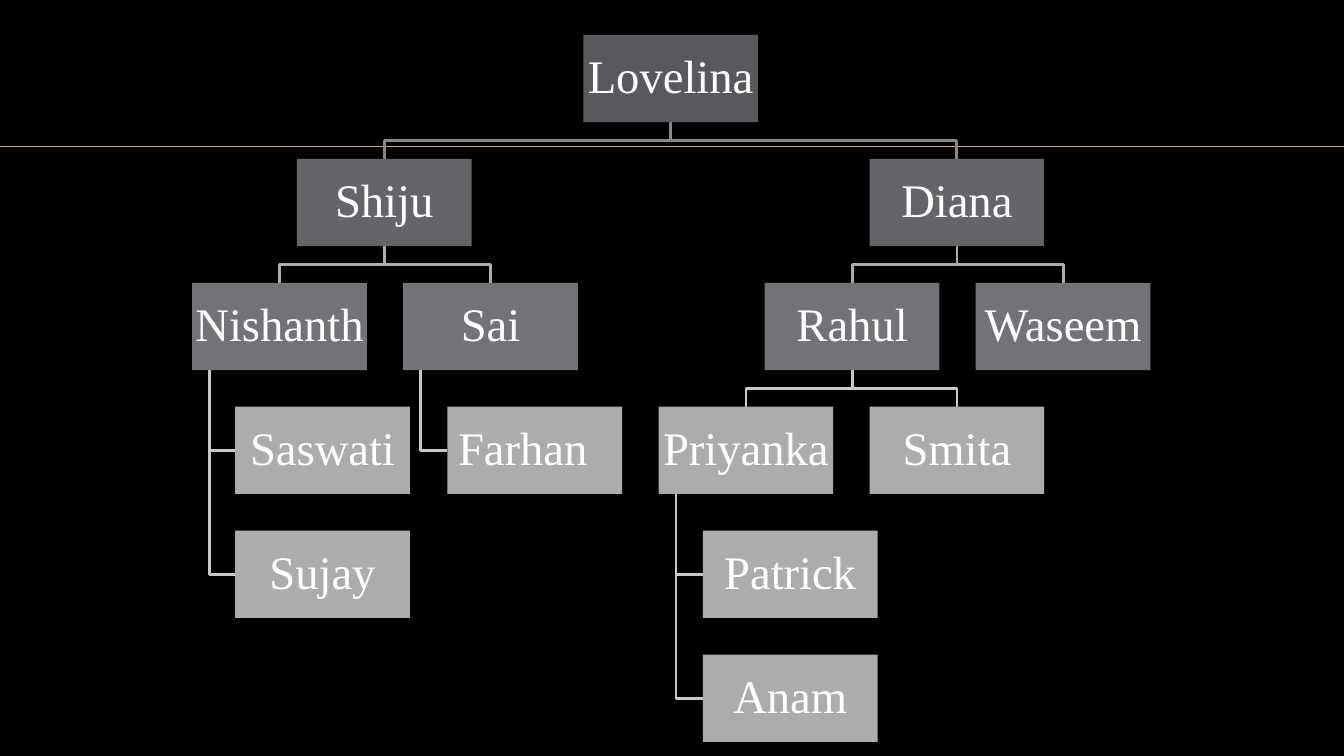
import pptx
import pptx.util
import pptx.dml.color
import pptx.enum.shapes
import pptx.enum.text
import pptx.oxml
from pptx.util import Inches


def paint(fmt, code):
    fmt.solid()
    fmt.fore_color.rgb = pptx.dml.color.RGBColor.from_string(code)


def plain(shape):
    """Drop the theme shadow."""
    shape._element.spPr.append(pptx.oxml.parse_xml(
        '<a:effectLst xmlns:a="http://schemas.openxmlformats.org/drawingml/2006/main"/>'))


# Wide slide, 16 by 9
deck = pptx.Presentation()
deck.slide_width = Inches(10)
deck.slide_height = Inches(10 * 9 / 16)
slide = deck.slides.add_slide(deck.slide_layouts[6])
paint(slide.background.fill, "000000")

# Gold rule across the slide
rule = slide.shapes.add_connector(
    pptx.enum.shapes.MSO_CONNECTOR.STRAIGHT, 0, Inches(1.09), Inches(10), Inches(1.09))
paint(rule.line.fill, "BBAA8A")
rule.line.width = pptx.util.Pt(1)
plain(rule)

# Tree: name, parent, left edge, row, hangs from the parent's side
tree = [
    ("Lovelina", None, 4.34, 0, False),
    ("Shiju", "Lovelina", 2.21, 1, False),
    ("Nishanth", "Shiju", 1.43, 2, False),
    ("Saswati", "Nishanth", 1.75, 3, True),
    ("Sujay", "Nishanth", 1.75, 4, True),
    ("Sai", "Shiju", 3, 2, False),
    ("Farhan", "Sai", 3.33, 3, True),
    ("Diana", "Lovelina", 6.47, 1, False),
    ("Rahul", "Diana", 5.69, 2, False),
    ("Priyanka", "Rahul", 4.9, 3, False),
    ("Patrick", "Priyanka", 5.23, 4, True),
    ("Anam", "Priyanka", 5.23, 5, True),
    ("Smita", "Rahul", 6.47, 3, False),
    ("Waseem", "Diana", 7.26, 2, False),
]
wide, high = 1.3, 0.65
pitch = 4.61 / 5
spot = {name: (left, 0.26 + pitch * row) for name, _, left, row, _ in tree}
fills = ["59595D", "656569", "727277", "ACACAE", "ACACAE", "ACACAE"]
lines = [None, "87878B", "ACACAE", "C8C8C9", "C8C8C9", "C8C8C9"]

# Elbow lines, drawn behind the boxes
for name, boss, left, row, hangs in tree:
    if boss is None:
        continue
    top = spot[name][1]
    start, base = spot[boss][0], spot[boss][1] + high
    if hangs:
        stem, mid = start + 0.13, top + high / 2
        route = [(stem, base), (stem, mid), (left, mid)]
    else:
        stem, mid, end = start + wide / 2, (base + top) / 2, left + wide / 2
        route = [(stem, base), (stem, mid), (end, mid), (end, top)]
    dots = [(Inches(x), Inches(y)) for x, y in route]
    pen = slide.shapes.build_freeform(*dots[0])
    pen.add_line_segments(dots[1:], close=False)
    elbow = pen.convert_to_shape()
    elbow.shadow.inherit = False
    elbow.fill.background()
    paint(elbow.line.fill, lines[row])
    elbow.line.width = pptx.util.Pt(1.5)

# Name boxes
frame_set = {
    "word_wrap": True,
    "vertical_anchor": pptx.enum.text.MSO_ANCHOR.MIDDLE,
    "margin_left": Inches(0.02), "margin_right": Inches(0.02),
    "margin_top": Inches(0.02), "margin_bottom": Inches(0.02),
}
para_set = {"alignment": pptx.enum.text.PP_ALIGN.CENTER, "line_spacing": 0.9}
font_set = {"name": "Times New Roman", "size": pptx.util.Pt(25)}
for name, _, left, row, _ in tree:
    box = slide.shapes.add_shape(
        pptx.enum.shapes.MSO_SHAPE.RECTANGLE,
        Inches(left), Inches(spot[name][1]), Inches(wide), Inches(high))
    box.shadow.inherit = False
    paint(box.fill, fills[row])
    box.line.fill.background()
    frame = box.text_frame
    para = frame.paragraphs[0]
    run = para.add_run()
    run.text = name
    for part, vals in ((frame, frame_set), (para, para_set), (run.font, font_set)):
        for key, val in vals.items():
            setattr(part, key, val)
    paint(run.font.fill, "FFFFFF")
    if name == "Farhan":  # sits a little left of centre
        frame.margin_right = Inches(0.2)

deck.save("out.pptx")
